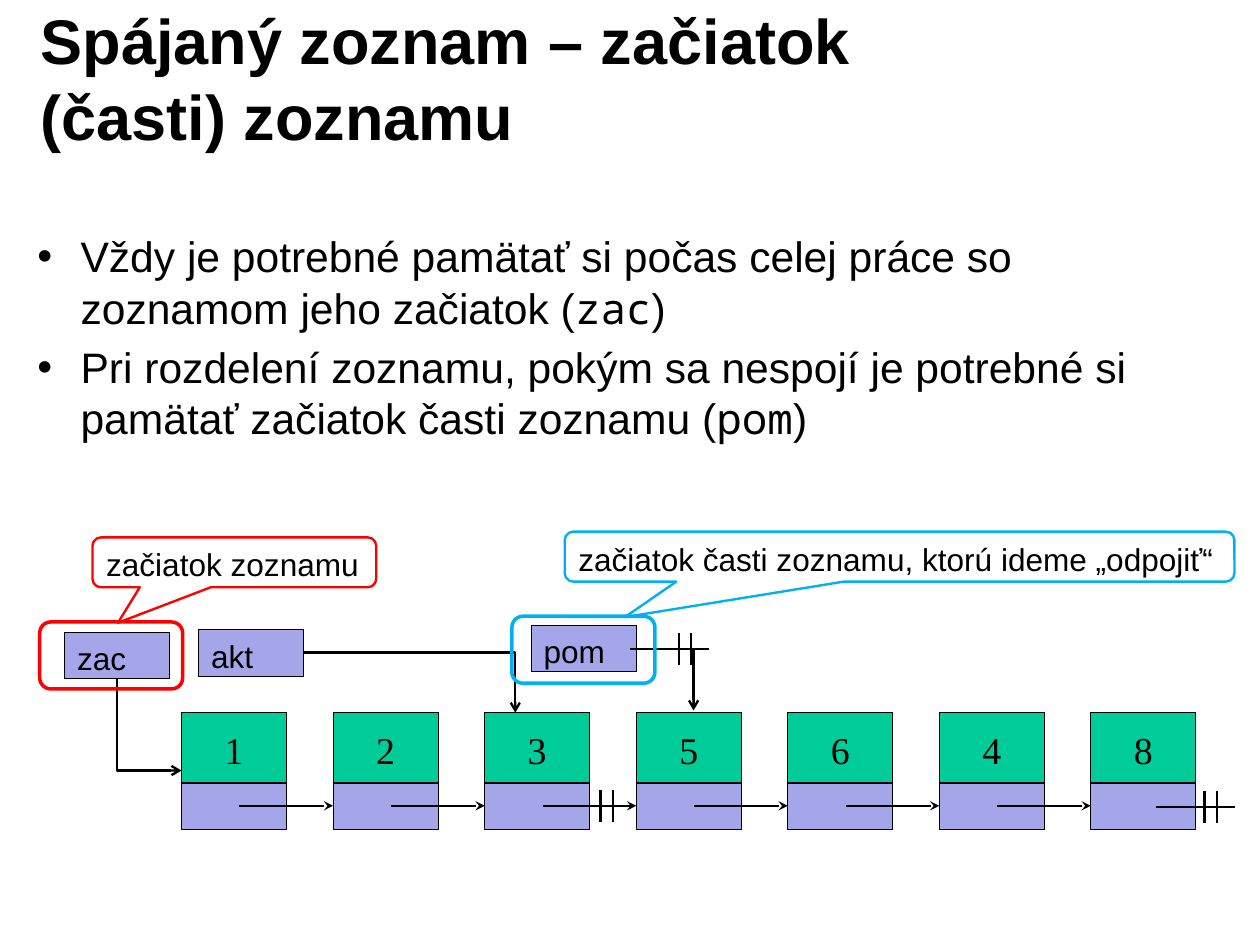
from dataclasses import dataclass

from lxml import etree
from pptx import Presentation
from pptx.dml.color import RGBColor
from pptx.enum.shapes import MSO_CONNECTOR, MSO_SHAPE
from pptx.enum.text import MSO_ANCHOR, MSO_AUTO_SIZE, PP_ALIGN
from pptx.oxml.ns import qn
from pptx.util import Inches, Pt

RECT = MSO_SHAPE.RECTANGLE
ROUND = MSO_SHAPE.ROUNDED_RECTANGLE
CALLOUT = MSO_SHAPE.ROUNDED_RECTANGULAR_CALLOUT
STRAIGHT, ELBOW = MSO_CONNECTOR.STRAIGHT, MSO_CONNECTOR.ELBOW
TOP, MIDDLE = MSO_ANCHOR.TOP, MSO_ANCHOR.MIDDLE
LEFT, CENTER = PP_ALIGN.LEFT, PP_ALIGN.CENTER
NO_FIT = MSO_AUTO_SIZE.NONE

COLORS = {"black": "000000", "value": "00CC99", "pointer": "A5A5E9",
          "red": "FF0000", "blue": "00B0F0"}
SANS, MONO, SERIF = "Arial", "Noto Sans Mono", "Times New Roman"

COLS, ROWS = 111, 83
NODE_X, NODE_Y, NODE_STEP = 16, 62.8, 13.35
CELL_W, VALUE_H, POINTER_H = 9.25, 6.2, 4.1
LINK_Y = 71


@dataclass
class Pointer:
    name: str
    x: float
    y: float


@dataclass
class Mark:
    text: str
    color: str
    x: float
    y: float
    width: float


@dataclass
class Elbow:
    start: tuple[float, float]
    end: tuple[float, float]
    arrow_at: str


@dataclass
class Break:
    x: float
    y: float


VALUES = ["1", "2", "3", "5", "6", "4", "8"]
POINTERS = [Pointer("zac", 5.7, 55.7), Pointer("akt", 17.5, 55.5),
            Pointer("pom", 46.8, 55.1)]
ELBOWS = [Elbow((16, 67.9), (10.3, 59.8), "headEnd"),
          Elbow((26.8, 57.5), (45.4, 62.8), "tailEnd"),
          Elbow((56, 57.2), (61.1, 62.6), "tailEnd")]
BREAKS = [Break(101.8, 71.1), Break(55.5, 57.2), Break(48.6, LINK_Y)]
MARKS = [Mark("začiatok zoznamu", "red", 3.5, 54.8, 25),
         Mark("začiatok časti zoznamu, ktorú ideme „odpojiť“", "blue",
              45.1, 54.3, 59)]
BULLETS = [
    ("Vždy je potrebné pamätať si počas celej práce so zoznamom jeho začiatok (",
     "zac"),
    ("Pri rozdelení zoznamu, pokým sa nespojí je potrebné si pamätať začiatok "
     "časti zoznamu (", "pom"),
]

prs = Presentation()
prs.slide_width, prs.slide_height = Inches(11.1), Inches(8.3)


def col(n: float) -> int:
    return round(prs.slide_width * n / COLS)


def row(n: float) -> int:
    return round(prs.slide_height * n / ROWS)


def rgb(name: str) -> RGBColor:
    return RGBColor.from_string(COLORS[name])


def add_run(p, text: str, size: float, font: str = SANS, bold: bool = False) -> None:
    r = p.add_run()
    r.text = text
    r.font.size, r.font.name, r.font.bold = Pt(size), font, bold
    r.font.color.rgb = rgb("black")


def set_frame(tf, anchor, inset_x: float = 1.1, inset_y: float = 0.6) -> None:
    tf.word_wrap, tf.auto_size, tf.vertical_anchor = True, NO_FIT, anchor
    tf.margin_left = tf.margin_right = col(inset_x)
    tf.margin_top = tf.margin_bottom = row(inset_y)


def place(sp, x: float, y: float, w: float, h: float) -> None:
    sp.left, sp.top, sp.width, sp.height = col(x), row(y), col(w), row(h)


def add_box(kind, x: float, y: float, w: float, h: float,
            fill: str | None = None, line: str = "black", weight: float = 0.75):
    sp = slide.shapes.add_shape(kind, col(x), row(y), col(w), row(h))
    sp.shadow.inherit = False
    if fill:
        sp.fill.solid()
        sp.fill.fore_color.rgb = rgb(fill)
    else:
        sp.fill.background()
    sp.line.color.rgb, sp.line.width = rgb(line), Pt(weight)
    return sp


def add_label(sp, text: str, size: float = 20, font: str = SANS, align=LEFT,
              inset_x: float = 1.1, inset_y: float = 0.6) -> None:
    set_frame(sp.text_frame, TOP, inset_x, inset_y)
    p = sp.text_frame.paragraphs[0]
    p.alignment = align
    add_run(p, text, size, font)


def add_line(start: tuple[float, float], end: tuple[float, float],
             weight: float = 1.5, kind=STRAIGHT, arrow: str = "",
             arrow_at: str = "tailEnd"):
    cxn = slide.shapes.add_connector(kind, col(start[0]), row(start[1]),
                                     col(end[0]), row(end[1]))
    cxn.line.color.rgb, cxn.line.width = rgb("black"), Pt(weight)
    if arrow:
        etree.SubElement(cxn.line._get_or_add_ln(), qn(f"a:{arrow_at}"), type=arrow)
    etree.SubElement(cxn._element.spPr, qn("a:effectLst"))
    return cxn


def add_elbow(e: Elbow) -> None:
    cxn = add_line(e.start, e.end, kind=ELBOW, arrow="arrow", arrow_at=e.arrow_at)
    cxn._element.spPr.find(qn("a:prstGeom")).set("prst", "bentConnector2")


def add_break(b: Break) -> None:
    add_line((b.x, b.y), (b.x + 7, b.y))
    for dx in (4.3, 5.4):
        add_line((b.x + dx, b.y - 1.4), (b.x + dx, b.y + 1.4))


def add_mark(m: Mark) -> None:
    add_box(ROUND, m.x, m.y, 12.6, 5.9, line=m.color, weight=2.25)
    sp = add_box(CALLOUT, m.x + 4.65, m.y - 7.45, m.width, 4.4,
                 line=m.color, weight=1.5)
    for i, value in enumerate((-0.41, 1.21, 0.17)):
        sp.adjustments[i] = value
    add_label(sp, m.text, inset_x=1, inset_y=0.5)


def add_bullet(p, text: str, name: str) -> None:
    pPr = p._p.get_or_add_pPr()
    pPr.set("marL", str(col(3.8)))
    pPr.set("indent", str(-col(3.8)))
    etree.SubElement(pPr, qn("a:buFont"), typeface=SANS)
    etree.SubElement(pPr, qn("a:buChar"), char="•")
    p.alignment = LEFT
    for part, font in ((text, SANS), (name, MONO), (")", SANS)):
        add_run(p, part, 27, font)


slide = prs.slides.add_slide(prs.slide_layouts[1])
title, body = slide.placeholders

place(title, 2.5, 1.7, 89.1, 10.2)
set_frame(title.text_frame, MIDDLE)
title.text_frame.paragraphs[0].alignment = LEFT
add_run(title.text_frame.paragraphs[0],
        "Spájaný zoznam – začiatok (časti) zoznamu", 40, bold=True)

place(body, 2.2, 19.7, 106.6, 27)
tf = body.text_frame
set_frame(tf, TOP)
for i, (text, name) in enumerate(BULLETS):
    p = tf.add_paragraph() if i else tf.paragraphs[0]
    p.space_before = Pt(5.4 if i else 0)
    add_bullet(p, text, name)

for i, value in enumerate(VALUES):
    x = NODE_X + i * NODE_STEP
    add_label(add_box(RECT, x, NODE_Y, CELL_W, VALUE_H, "value"),
              value, 24, SERIF, CENTER, inset_y=1.2)
    add_box(RECT, x, NODE_Y + VALUE_H, CELL_W, POINTER_H, "pointer")
for i in range(len(VALUES) - 1):
    x = NODE_X + i * NODE_STEP
    add_line((x + 5.1, LINK_Y), (x + NODE_STEP, LINK_Y),
             weight=1 if VALUES[i] == "3" else 1.5, arrow="stealth")

for ptr in POINTERS:
    add_label(add_box(RECT, ptr.x, ptr.y, CELL_W, POINTER_H, "pointer"), ptr.name)
for e in ELBOWS:
    add_elbow(e)
for b in BREAKS:
    add_break(b)
for m in MARKS:
    add_mark(m)

prs.save("out.pptx")
